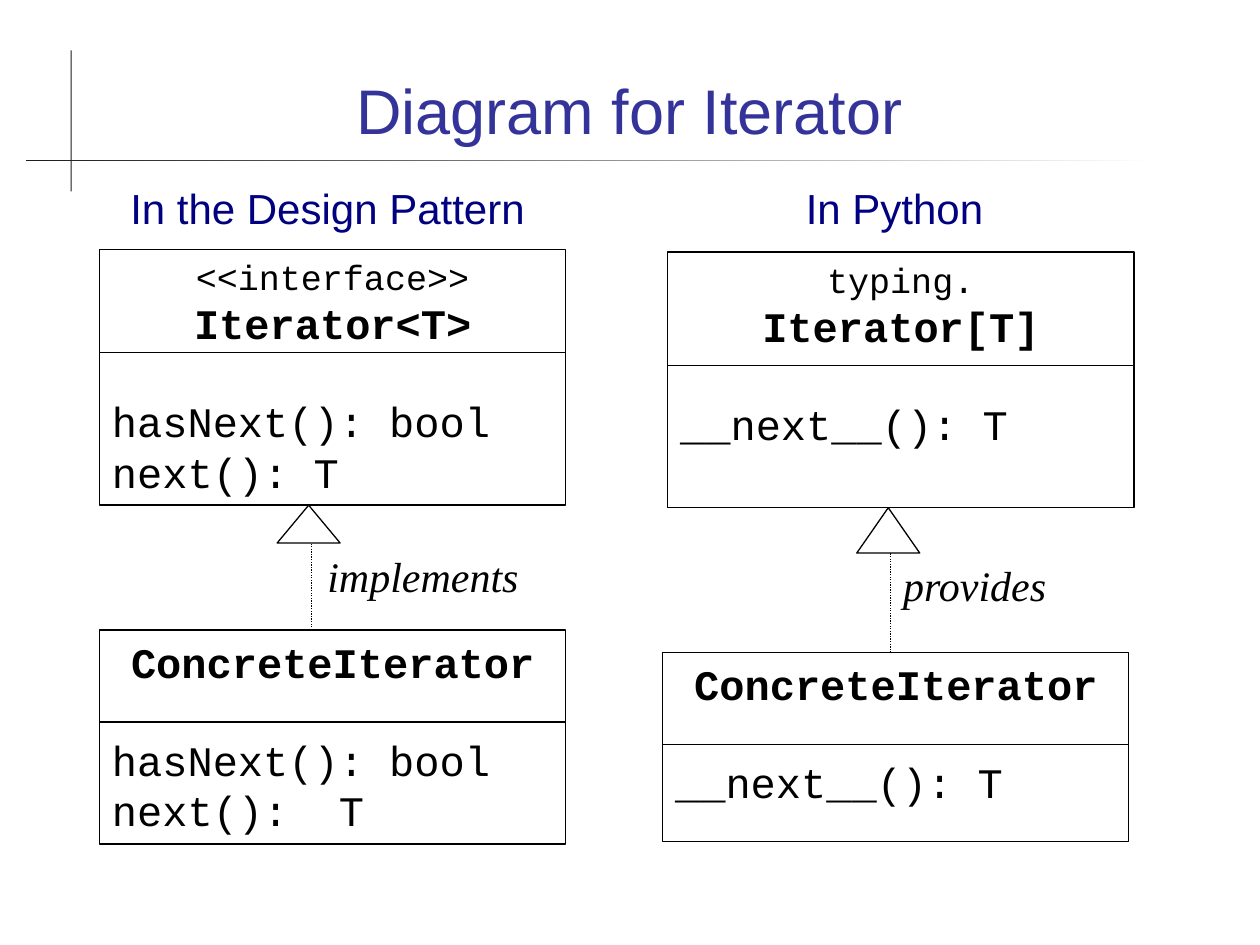
from lxml.etree import SubElement
from pptx import Presentation
from pptx.dml.color import RGBColor
from pptx.enum.dml import MSO_LINE
from pptx.enum.shapes import MSO_CONNECTOR, MSO_SHAPE
from pptx.enum.text import MSO_ANCHOR, PP_ALIGN
from pptx.oxml.ns import qn
from pptx.util import Inches, Pt

TITLE = "Diagram for Iterator"
COLUMNS = [
    {
        "heading": ("In the Design Pattern", 0.8),
        "interface": {
            "at": (0.79, 1.98, 3.7, 2.03), "divider": 0.82,
            "stereotype": "<<interface>>", "name": "Iterator<T>",
            "methods": ["hasNext(): bool", "next(): T"],
        },
        "concrete": {
            "at": (0.79, 5, 3.7, 1.7), "divider": 0.73,
            "name": "ConcreteIterator",
            "methods": ["hasNext(): bool", "next():  T"],
        },
        "relation": {"text": "implements", "label_at": (2.5, 4.32),
                     "arrow_left": 2.2, "arrow_height": 0.3},
    },
    {
        "heading": ("In Python", 5.3),
        "interface": {
            "at": (5.3, 2, 3.7, 2.03), "divider": 0.9,
            "stereotype": "typing.", "name": "Iterator[T]",
            "methods": ["__next__(): T"],
        },
        "concrete": {
            "at": (5.26, 5.18, 3.7, 1.5), "divider": 0.73,
            "name": "ConcreteIterator",
            "methods": ["__next__(): T"],
        },
        "relation": {"text": "provides", "label_at": (7.07, 4.39),
                     "arrow_left": 6.8, "arrow_height": 0.36},
    },
]


def rgb(value):
    return RGBColor.from_string(value)


THEME = {
    "title": {"name": "Arial", "size": Pt(36), "color": rgb("333399")},
    "heading": {"name": "Arial", "size": Pt(24), "color": rgb("000080")},
    "stereotype": {"name": "Courier New", "size": Pt(20), "color": rgb("000000")},
    "name": {"name": "Courier New", "size": Pt(24), "color": rgb("000000"), "bold": True},
    "method": {"name": "Courier New", "size": Pt(24), "color": rgb("000000")},
    "relation": {"name": "Times New Roman", "size": Pt(24), "color": rgb("000000"),
                 "italic": True},
    "ink": rgb("000000"),
    "paper": rgb("FFFFFF"),
    "rule": rgb("1C1C1C"),
    "line_width": Pt(0.75),
    "method_gap": Pt(27.2),
}
ARROW_WIDTH = 0.5
STEM_OFFSET = 0.27


def write(paragraph, text, style, align=PP_ALIGN.LEFT):
    paragraph.alignment = align
    run = paragraph.add_run()
    run.text = text
    for key, value in THEME[style].items():
        if key == "color":
            run.font.color.rgb = value
        else:
            setattr(run.font, key, value)


def add_shape(slide, kind, box):
    shape = slide.shapes.add_shape(kind, *map(Inches, box))
    shape.shadow.inherit = False
    shape.line.color.rgb = THEME["ink"]
    shape.line.width = THEME["line_width"]
    return shape


def add_line(slide, start, end, dash=None):
    line = slide.shapes.add_connector(
        MSO_CONNECTOR.STRAIGHT, *map(Inches, (*start, *end)))
    line.line.color.rgb = THEME["ink"]
    line.line.width = THEME["line_width"]
    if dash:
        line.line.dash_style = dash
    SubElement(line._element.spPr, qn("a:effectLst"))


def add_label(slide, box, text, style, align=PP_ALIGN.LEFT):
    frame = slide.shapes.add_textbox(*map(Inches, box)).text_frame
    frame.word_wrap = True
    write(frame.paragraphs[0], text, style, align)


def add_rules(slide):
    """Draw the thin crossing rules beside and below the title."""
    vertical = add_shape(slide, MSO_SHAPE.RECTANGLE, (0.56, 0.4, 0.01, 1.12))
    vertical.fill.solid()
    vertical.fill.fore_color.rgb = THEME["rule"]
    horizontal = add_shape(slide, MSO_SHAPE.RECTANGLE, (0.21, 1.27, 8.97, 0.01))
    horizontal.fill.gradient()
    horizontal.fill.gradient_angle = 180
    stops = horizontal.fill.gradient_stops
    for stop, position, color in zip(stops, (0, 1), ("paper", "rule")):
        stop.position = position
        stop.color.rgb = THEME[color]
    for rule in (vertical, horizontal):
        rule.line.fill.background()


def add_title(slide):
    title = slide.shapes.title
    title.left, title.top, title.width, title.height = map(
        Inches, (0.67, 0.28, 8.65, 0.94))
    title.text_frame.vertical_anchor = MSO_ANCHOR.BOTTOM
    write(title.text_frame.paragraphs[0], TITLE, "title", PP_ALIGN.CENTER)


def add_class_box(slide, item):
    left, top, width, _ = item["at"]
    shape = add_shape(slide, MSO_SHAPE.RECTANGLE, item["at"])
    shape.fill.background()
    frame = shape.text_frame
    frame.word_wrap = True
    frame.vertical_anchor = MSO_ANCHOR.TOP
    headers = [(item[key], key) for key in ("stereotype", "name") if key in item]
    methods = [(text, "method") for text in item["methods"]]
    for index, (text, style) in enumerate(headers + methods):
        paragraph = frame.add_paragraph() if index else frame.paragraphs[0]
        align = PP_ALIGN.LEFT if style == "method" else PP_ALIGN.CENTER
        write(paragraph, text, style, align)
        if index == len(headers):
            paragraph.space_before = THEME["method_gap"]
    y = top + item["divider"]
    add_line(slide, (left, y), (left + width, y))


def add_relation(slide, column):
    """Draw the hollow arrow from the concrete class up to its interface."""
    relation = column["relation"]
    _, top, _, height = column["interface"]["at"]
    tip = top + height
    left = relation["arrow_left"]
    arrow = add_shape(slide, MSO_SHAPE.ISOSCELES_TRIANGLE,
                      (left, tip, ARROW_WIDTH, relation["arrow_height"]))
    arrow.fill.solid()
    arrow.fill.fore_color.rgb = THEME["paper"]
    x = left + STEM_OFFSET
    add_line(slide, (x, column["concrete"]["at"][1]),
             (x, tip + relation["arrow_height"]), MSO_LINE.ROUND_DOT)
    add_label(slide, (*relation["label_at"], 1.8, 0.5), relation["text"], "relation")


def main():
    presentation = Presentation()
    presentation.slide_width, presentation.slide_height = Inches(10), Inches(7.5)
    slide = presentation.slides.add_slide(presentation.slide_layouts[5])
    add_rules(slide)
    add_title(slide)
    for column in COLUMNS:
        heading, left = column["heading"]
        add_label(slide, (left, 1.4, 3.6, 0.5), heading, "heading", PP_ALIGN.CENTER)
        add_class_box(slide, column["interface"])
        add_class_box(slide, column["concrete"])
        add_relation(slide, column)
    presentation.save("out.pptx")


if __name__ == "__main__":
    main()
